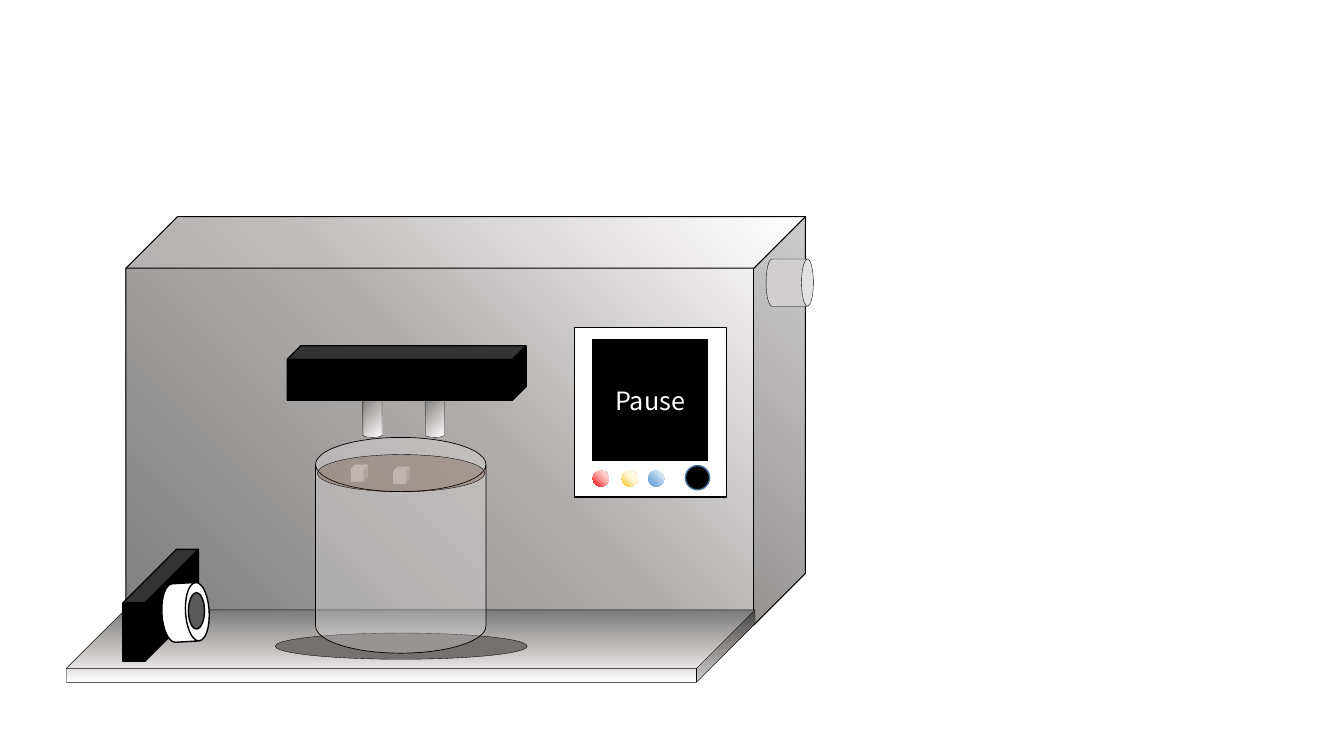
from lxml import etree
from pptx import Presentation
from pptx.dml.color import RGBColor
from pptx.enum.shapes import MSO_SHAPE
from pptx.enum.text import MSO_ANCHOR, PP_ALIGN
from pptx.oxml.ns import qn
from pptx.util import Pt

CUBE, CAN = MSO_SHAPE.CUBE, MSO_SHAPE.CAN
OVAL, RECT = MSO_SHAPE.OVAL, MSO_SHAPE.RECTANGLE
MIDDLE, CENTER = MSO_ANCHOR.MIDDLE, PP_ALIGN.CENTER
FONT = "Noto Sans CJK KR"
COLORS = {
    "black": "000000", "white": "FFFFFF", "gray": "808080",
    "dark": "595959", "steel": "AFABAB", "knob": "D0CECE",
    "shade": "767171", "glass": "F2F2F2", "coffee": "582A18",
    "red": "FF0000", "pink": "FF9B9B", "gold": "FFC000",
    "cream": "FFF2CC", "blue": "5B9BD5", "sky": "9DC3E6",
    "navy": "43739E",
}
METAL = ("dark", "steel", "white")


def rgb(name):
    """Return the named colour."""
    return RGBColor.from_string(COLORS[name])


def write(shape, text, size=18, color="white", font=FONT, align=CENTER):
    """Put formatted text in the middle of a shape."""
    frame = shape.text_frame
    frame.word_wrap = True
    frame.vertical_anchor = MIDDLE
    para = frame.paragraphs[0]
    para.alignment = align
    run = para.add_run()
    run.text = text
    run.font.size = Pt(size)
    run.font.name = font
    run.font.color.rgb = rgb(color)


class Canvas:
    """Draws styled shapes in one group on the current slide."""

    def __init__(self, slide):
        """Open the group that holds the drawing."""
        self.group = slide.shapes.add_group_shape()

    def solid(self, kind, box, fill, line=1, edge="black", alpha=None,
              adj=None, turn=0):
        """Add a shape with one fill colour."""
        shape = self.group.shapes.add_shape(kind, *map(Pt, box))
        shape.shadow.inherit = False
        shape.rotation = turn
        if adj is not None:
            shape.adjustments[0] = adj
        shape.fill.solid()
        shape.fill.fore_color.rgb = rgb(fill)
        if alpha is not None:
            color = shape.fill._xPr.find(".//" + qn("a:srgbClr"))
            etree.SubElement(color, qn("a:alpha"), val=str(alpha * 1000))
        if line:
            shape.line.width = Pt(line)
            shape.line.color.rgb = rgb(edge)
        else:
            shape.line.fill.background()
        return shape

    def blend(self, kind, box, stops, angle, line=0.25, adj=None):
        """Add a shape with an evenly spaced linear gradient."""
        shape = self.solid(kind, box, stops[0], line, adj=adj)
        shape.fill.gradient()
        shape.fill.gradient_angle = 360 - angle
        items = shape.fill._xPr.find(".//" + qn("a:gsLst"))
        for old in list(items):
            items.remove(old)
        for i, name in enumerate(stops):
            pos = str(i * 100000 // (len(stops) - 1))
            stop = etree.SubElement(items, qn("a:gs"), pos=pos)
            etree.SubElement(stop, qn("a:srgbClr"), val=COLORS[name])
        return shape


def body(art):
    """Draw the housing, the tray and the side knob."""
    art.blend(CUBE, (90, 154.8, 485.3, 291.6), ("gray", "steel", "white"),
              315, line=0.75, adj=0.126)
    art.blend(CUBE, (47.5, 435.6, 491.8, 51.8), METAL, 90, adj=0.808)
    art.solid(CAN, (547.2, 185, 33.8, 33.8), "knob", line=0.25, turn=90)


def cup(art):
    """Draw the glass with its shadow, drink and ice."""
    art.solid(OVAL, (196.6, 452.2, 180, 18.7), "shade", line=0.25)
    art.solid(CAN, (225.4, 312.5, 121.7, 154.1), "glass", line=0.5,
              alpha=28, adj=0.318)
    art.solid(OVAL, (226.8, 324.7, 119.5, 26.6), "coffee", line=0.25, alpha=26)
    for left, top, alpha in ((280.8, 333.4, 31), (250.6, 331.9, 34)):
        art.solid(CUBE, (left, top, 12.2, 12.2), "white", line=0, alpha=alpha)


def panel(art):
    """Draw the display and its buttons."""
    art.solid(RECT, (410.4, 234, 108.7, 121), "white")
    screen = art.solid(RECT, (423.4, 242.6, 82.1, 86.4), "black")
    write(screen, "Pause")
    lights = ((423.4, "red", "pink"), (444.2, "gold", "cream"),
              (463, "blue", "sky"))
    for left, deep, pale in lights:
        art.blend(OVAL, (left, 336.2, 11.5, 11.5), (deep, pale, "white"),
                  315, line=0)
    art.solid(OVAL, (489.6, 332.6, 17.3, 17.3), "black", edge="navy")


def sensor(art):
    """Draw the block with the lens at the front left."""
    art.solid(CUBE, (87.8, 392.4, 54, 79.9), "black", adj=0.708)
    art.solid(CAN, (111.6, 420.5, 41.8, 33.8), "white", adj=0.5, turn=86.7)
    art.solid(OVAL, (134.6, 423.4, 11.5, 25.9), "dark")


def spout(art):
    """Draw the two nozzles and the head above them."""
    for left in (259.2, 303.8):
        art.blend(CAN, (left, 272.9, 13.7, 39.6), METAL, 45)
    art.solid(CUBE, (205.2, 247, 170.6, 38.9), "black")


def main():
    """Build and save the slide."""
    deck = Presentation()
    deck.slide_width, deck.slide_height = Pt(960), Pt(540)
    art = Canvas(deck.slides.add_slide(deck.slide_layouts[6]))
    for part in (body, cup, panel, sensor, spout):
        part(art)
    deck.save("out.pptx")


if __name__ == "__main__":
    main()
